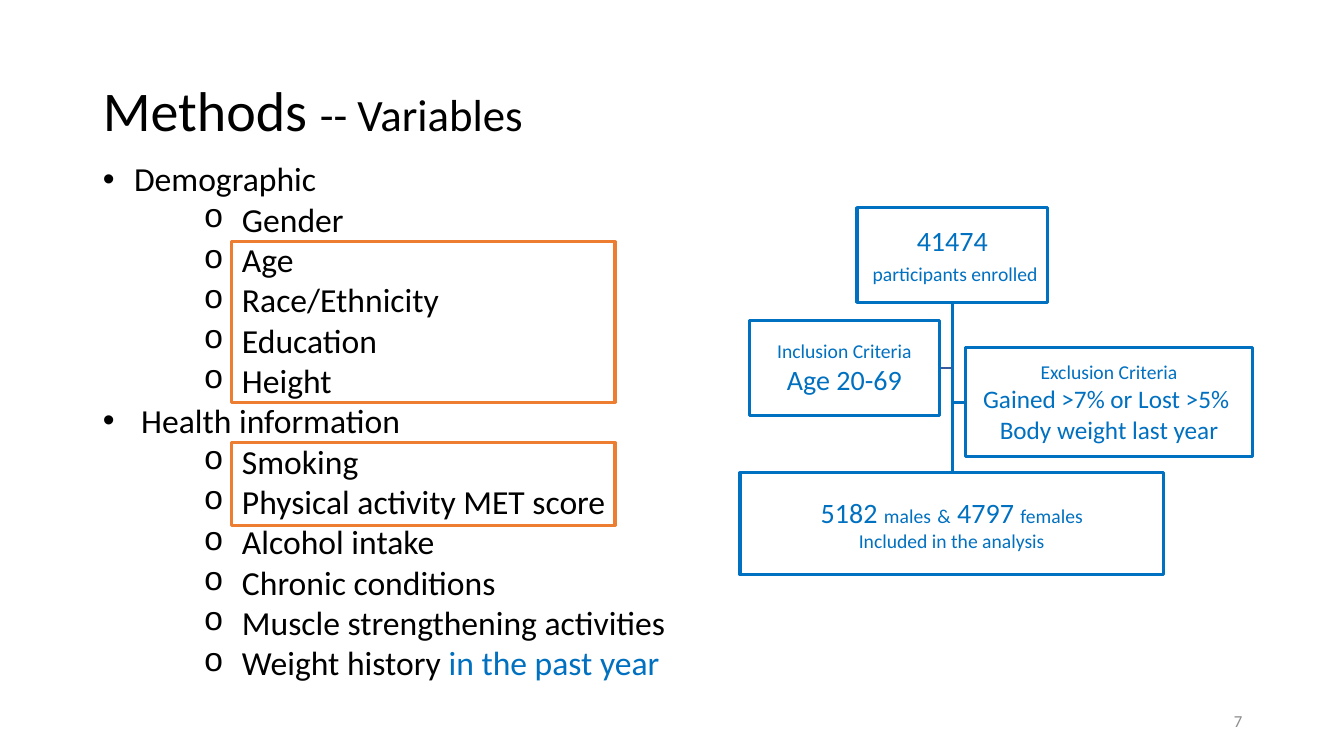
from lxml import etree
from pptx import Presentation
from pptx.dml.color import RGBColor
from pptx.enum import shapes as kinds, text as styles
from pptx.oxml.ns import qn
from pptx.util import Inches, Pt

COLORS = {"ink": "000000", "blue": "0070C0", "navy": "365B9D",
          "orange": "ED7D31", "gray": "8C8C8C"}
FONT = "Calibri"

TITLE = [("Methods ", 40), ("-- Variables", 32)]
TOPICS = [
    ("Demographic", 0.31, ["Gender", "Age", "Race/Ethnicity", "Education", "Height"]),
    ("Health information", 0.38,
     ["Smoking", "Physical activity MET score", "Alcohol intake", "Chronic conditions",
      "Muscle strengthening activities", "Weight history |in the past year"]),
]
PAGE = "7"

# Flow boxes: left, top, width, height, then lines of (text, size) runs
FLOW = {
    "enrolled": (8.5, 2.06, 1.89, 0.94,
                 [[("41474", 20)], [(" ", 18), ("participants enrolled", 14)]]),
    "analysed": (7.34, 4.69, 4.2, 1.01,
                 [[("5182 ", 20), ("males", 14), (" ", 20), ("&", 14), (" 4797 ", 20),
                   ("females", 14)],
                  [("Included in the analysis", 14)]]),
    "included": (7.43, 3.18, 1.89, 0.94,
                 [[("Inclusion Criteria", 14)], [("Age 20-69", 20)]]),
    "excluded": (9.58, 3.45, 2.84, 1.08,
                 [[("Exclusion Criteria", 14)], [("Gained >7% or Lost >5% ", 18)],
                  [("Body weight last year", 18)]]),
}
MARKS = [(2.3, 2.4, 3.8, 1.59), (2.3, 4.39, 3.8, 0.82)]


def rgb(name):
    return RGBColor.from_string(COLORS[name])


def place(shape, *spot):
    shape.left, shape.top, shape.width, shape.height = map(Inches, spot)


def style(para, color, size=None):
    para.font.name = FONT
    para.font.color.rgb = rgb(color)
    if size:
        para.font.size = Pt(size)


def write(para, runs):
    for words, size in runs:
        run = para.add_run()
        run.text = words
        run.font.size = Pt(size)


def bullet(para, sign, face, left, hang):
    props = para._p.get_or_add_pPr()
    props.set("marL", str(Inches(left)))
    props.set("indent", str(-Inches(hang)))
    etree.SubElement(props, qn("a:buFont")).set("typeface", face)
    etree.SubElement(props, qn("a:buChar")).set("char", sign)


def frame(slide, spot, color):
    box = slide.shapes.add_shape(kinds.MSO_SHAPE.RECTANGLE, *map(Inches, spot))
    box.shadow.inherit = False
    box.fill.background()
    box.line.color.rgb = rgb(color)
    box.line.width = Pt(2.25)
    return box


def link(slide, ends, color="blue", width=2.25):
    line = slide.shapes.add_connector(kinds.MSO_CONNECTOR.STRAIGHT, *map(Inches, ends))
    line.line.color.rgb = rgb(color)
    line.line.width = Pt(width)
    etree.SubElement(line._element.spPr, qn("a:effectLst"))


def add_title(slide):
    title = slide.shapes.title
    place(title, 0.92, 0.4, 11.5, 1.45)
    body = title.text_frame
    body.auto_size = styles.MSO_AUTO_SIZE.NONE
    body.vertical_anchor = styles.MSO_ANCHOR.MIDDLE
    para = body.paragraphs[0]
    para.alignment = styles.PP_ALIGN.LEFT
    para.line_spacing = 0.9
    style(para, "ink")
    write(para, TITLE)


def add_list(slide):
    holder = slide.placeholders[1]
    place(holder, 0.92, 1.52, 5.86, 5.35)
    body = holder.text_frame
    body.auto_size = styles.MSO_AUTO_SIZE.NONE
    rows = []
    for topic, hang, items in TOPICS:
        rows.append((topic, 0, "•", "Arial", hang, hang))
        rows += [(item, 2, "o", "Courier New", 1.38, 0.38) for item in items]
    for i, (words, level, *sign) in enumerate(rows):
        para = body.add_paragraph() if i else body.paragraphs[0]
        para.level = level
        para.line_spacing = 1.0
        para.space_before = Pt(0)
        bullet(para, *sign)
        style(para, "ink", 24)
        plain, _, accent = words.partition("|")
        write(para, [(plain, 24)])
        if accent:
            write(para, [(accent, 24)])
            para.runs[-1].font.color.rgb = rgb("blue")


def add_flow(slide):
    left, top, width, height, _ = FLOW["enrolled"]
    trunk, start = left + width / 2, top + height
    link(slide, (trunk, start, trunk, FLOW["analysed"][1]))
    left, top, width, height, _ = FLOW["included"]
    mid = top + height / 2
    link(slide, (trunk, mid, left + width, mid), "navy", 1)
    left, top, width, height, _ = FLOW["excluded"]
    mid = top + height / 2
    link(slide, (trunk, mid, left, mid))
    for *spot, lines in FLOW.values():
        body = frame(slide, spot, "blue").text_frame
        body.word_wrap = True
        body.vertical_anchor = styles.MSO_ANCHOR.MIDDLE
        body.margin_left = body.margin_right = Inches(0.01)
        body.margin_top = body.margin_bottom = Inches(0.01)
        for i, runs in enumerate(lines):
            para = body.add_paragraph() if i else body.paragraphs[0]
            para.alignment = styles.PP_ALIGN.CENTER
            style(para, "blue")
            write(para, runs)


def add_page(slide):
    box = slide.shapes.add_textbox(*map(Inches, (9.42, 6.95, 3, 0.4)))
    body = box.text_frame
    body.word_wrap = True
    body.vertical_anchor = styles.MSO_ANCHOR.MIDDLE
    para = body.paragraphs[0]
    para.text = PAGE
    para.alignment = styles.PP_ALIGN.RIGHT
    style(para, "gray", 12)


def main():
    deck = Presentation()
    deck.slide_width, deck.slide_height = Inches(13.33), Inches(7.5)
    slide = deck.slides.add_slide(deck.slide_layouts[1])
    add_title(slide)
    add_page(slide)
    add_list(slide)
    add_flow(slide)
    for spot in MARKS:
        frame(slide, spot, "orange")
    deck.save("out.pptx")


if __name__ == "__main__":
    main()
